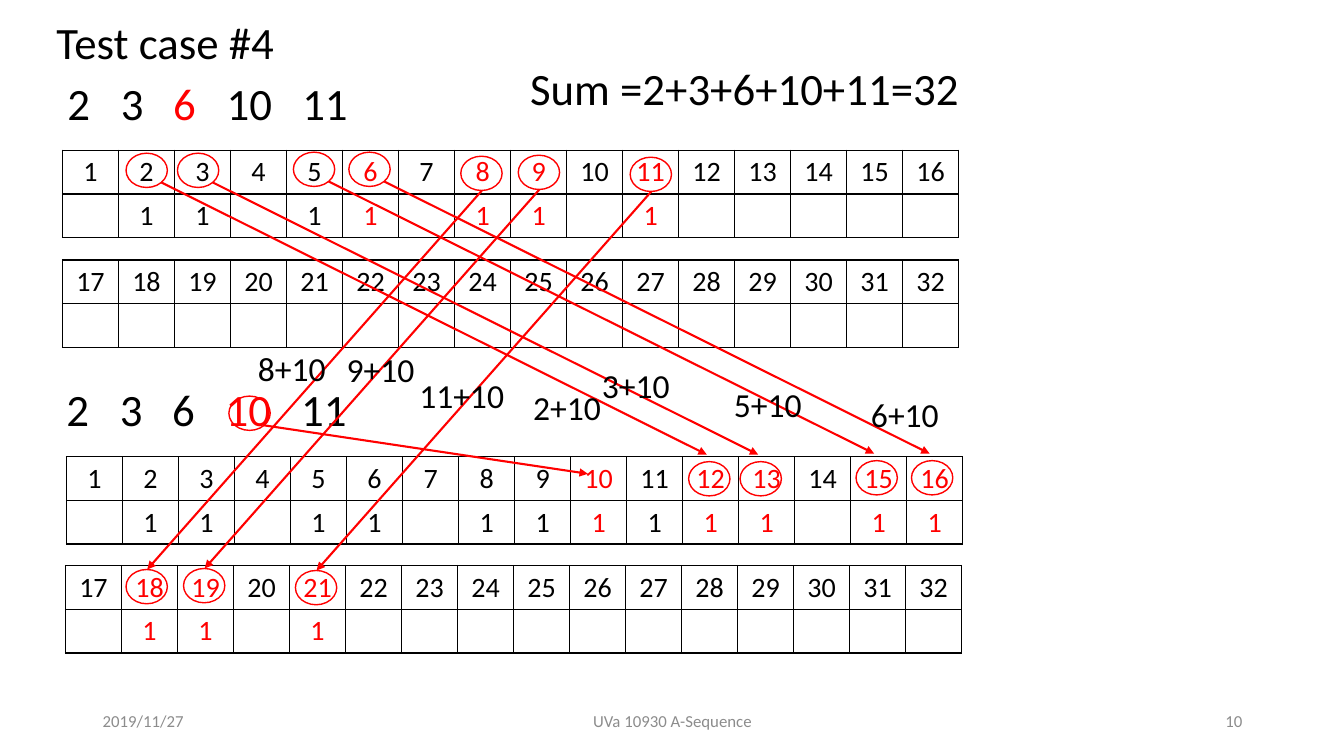
from dataclasses import dataclass

from lxml import etree
from pptx import Presentation
from pptx.dml.color import RGBColor
from pptx.enum import shapes, text
from pptx.oxml import ns
from pptx.util import Inches, Pt


@dataclass(frozen=True)
class Theme:
    """Colours, font and type sizes of the slide."""
    font: str = "Calibri"
    ink: str = "000000"
    mark: str = "FF0000"
    muted: str = "8C8C8C"
    heading: int = 32
    label: int = 24
    cell: int = 20
    footer: int = 12


THEME = Theme()
LEFT, CENTER, RIGHT = text.PP_ALIGN.LEFT, text.PP_ALIGN.CENTER, text.PP_ALIGN.RIGHT

TITLE = ("Test case #4", (0.46, 0.1, 2.6, 0.64))
TOTAL = ("Sum =2+3+6+10+11=32", (5.16, 0.55, 4.56, 0.64))
FOOTERS = [
    ("2019/11/27", (0.92, 6.95, 3, 0.4), LEFT),
    ("UVa 10930 A-Sequence", (4.42, 6.95, 4.5, 0.4), CENTER),
    ("10", (9.42, 6.95, 3, 0.4), RIGHT),
]
SEQUENCE = ["2", "3", "6", "10", "11"]
SEQUENCE_STOPS = [0.53, 1.05, 1.58, 2.33]
STEPS = [("6", (0.57, 0.7, 3.2, 0.64)), ("10", (0.56, 3.74, 3.2, 0.64))]

# fields: left, top, first number, reachable sums, red numbers, red ones
TABLES = [
    (0.62, 1.49, 1, {2, 3, 5, 6, 8, 9, 11}, {6, 8, 9, 11}),
    (0.62, 2.58, 17, set(), set()),
    (0.66, 4.53, 1, {2, 3, 5, 6, 8, 9, 10, 11, 12, 13, 15, 16}, {10, 12, 13, 15, 16}),
    (0.65, 5.61, 17, {18, 19, 21}, {18, 19, 21}),
]
COLUMNS, TABLE_WIDTH, ROW_HEIGHT = 16, 8.89, 0.43

RING = (0.41, 0.34)
TEN_RING, TEN_CELL = (2.27, 3.93), (5.83, 4.7)
RING_EDGE = (0.35, 0.29)
JUMPS_RIGHT = [
    ("2+10", (5.19, 3.79), (1.25, 1.52)),
    ("3+10", (5.87, 3.57), (1.76, 1.52)),
    ("5+10", (7.18, 3.76), (2.91, 1.51)),
    ("6+10", (8.54, 3.86), (3.46, 1.51)),
]
JUMPS_LEFT = [
    ("8+10", (2.46, 3.4), (4.57, 1.55)),
    ("9+10", (3.34, 3.41), (5.14, 1.54)),
    ("11+10", (4.06, 3.67), (6.25, 1.56)),
]
ROUTES = [
    (JUMPS_RIGHT, (5.58, 3.06), RING_EDGE, (0.18, -0.07)),
    (JUMPS_LEFT, (-3.32, 4.1), (0.21, 0.34), (0.21, 0)),
]
LABEL_SIZE = (1.19, 0.5)


def inches(*values):
    """Convert several lengths at once."""
    return [Inches(value) for value in values]


def shift(point, offset):
    """Move a point by an offset."""
    return point[0] + offset[0], point[1] + offset[1]


def style(paragraph, size, color=THEME.ink, align=LEFT):
    """Format a whole paragraph."""
    paragraph.alignment = align
    paragraph.font.name = THEME.font
    paragraph.font.size = Pt(size)
    paragraph.font.color.rgb = RGBColor.from_string(color)


def add_text(slide, words, box, size, color=THEME.ink, align=LEFT, anchor=text.MSO_ANCHOR.TOP):
    """Add a wrapped text box with one paragraph."""
    frame = slide.shapes.add_textbox(*inches(*box)).text_frame
    frame.word_wrap = True
    frame.vertical_anchor = anchor
    frame.text = words
    style(frame.paragraphs[0], size, color, align)


def add_title(slide, words, box):
    """Place the title placeholder."""
    title = slide.shapes.title
    title.left, title.top, title.width, title.height = inches(*box)
    frame = title.text_frame
    frame.text = words
    frame.word_wrap = True
    frame.auto_size = text.MSO_AUTO_SIZE.NONE
    frame.vertical_anchor = text.MSO_ANCHOR.TOP
    style(frame.paragraphs[0], THEME.heading)


def add_sequence(slide, current, box):
    """Add the sequence on tab stops with its current number in red."""
    frame = slide.shapes.add_textbox(*inches(*box)).text_frame
    frame.word_wrap = True
    paragraph = frame.paragraphs[0]
    stops = etree.SubElement(paragraph._p.get_or_add_pPr(), ns.qn("a:tabLst"))
    for stop in SEQUENCE_STOPS:
        etree.SubElement(stops, ns.qn("a:tab"), pos=str(Inches(stop)), algn="l")
    style(paragraph, THEME.heading)
    for index, number in enumerate(SEQUENCE):
        run = paragraph.add_run()
        run.text = "\t" + number if index else number
        color = THEME.mark if number == current else THEME.ink
        run.font.color.rgb = RGBColor.from_string(color)


def add_borders(cell):
    """Draw a thin line on all four sides of a cell."""
    properties = cell._tc.get_or_add_tcPr()
    for position, side in enumerate(("a:lnL", "a:lnR", "a:lnT", "a:lnB")):
        line = etree.Element(ns.qn(side), w=str(Pt(1)))
        fill = etree.SubElement(line, ns.qn("a:solidFill"))
        etree.SubElement(fill, ns.qn("a:srgbClr"), val=THEME.ink)
        properties.insert(position, line)


def add_sums_table(slide, left, top, first, reached, marked):
    """Add a table of numbers above their reachable flags."""
    box = inches(left, top, TABLE_WIDTH, 2 * ROW_HEIGHT)
    table = slide.shapes.add_table(2, COLUMNS, *box).table
    table.first_row = table.horz_banding = False
    for index in range(COLUMNS):
        number = first + index
        color = THEME.mark if number in marked else THEME.ink
        for row, words in enumerate((str(number), "1" if number in reached else "")):
            cell = table.cell(row, index)
            cell.text = words
            cell.fill.background()
            style(cell.text_frame.paragraphs[0], THEME.cell, color, CENTER)
            add_borders(cell)


def add_ring(slide, corner):
    """Circle a number."""
    ring = slide.shapes.add_shape(shapes.MSO_SHAPE.OVAL, *inches(*corner, *RING))
    ring.shadow.inherit = False
    ring.fill.background()
    ring.line.color.rgb = RGBColor.from_string(THEME.mark)
    ring.line.width = Pt(1)


def add_arrow(slide, start, end):
    """Draw a red arrow between two points."""
    arrow = slide.shapes.add_connector(shapes.MSO_CONNECTOR.STRAIGHT, *inches(*start, *end))
    arrow.line.color.rgb = RGBColor.from_string(THEME.mark)
    arrow.line.width = Pt(1.5)
    etree.SubElement(arrow.line._get_or_add_ln(), ns.qn("a:tailEnd"), type="triangle")
    etree.SubElement(arrow._element.spPr, ns.qn("a:effectLst"))


def main():
    """Build the slide."""
    deck = Presentation()
    deck.slide_width, deck.slide_height = inches(13.33, 7.5)
    slide = deck.slides.add_slide(deck.slide_layouts[5])
    add_title(slide, *TITLE)
    add_text(slide, *TOTAL, THEME.heading)
    for words, box, align in FOOTERS:
        add_text(slide, words, box, THEME.footer, THEME.muted, align, text.MSO_ANCHOR.MIDDLE)
    for step in STEPS:
        add_sequence(slide, *step)
    for sums in TABLES:
        add_sums_table(slide, *sums)
    add_ring(slide, TEN_RING)
    add_arrow(slide, shift(TEN_RING, RING_EDGE), TEN_CELL)
    for jumps, travel, leave, arrive in ROUTES:
        for label, corner, source in jumps:
            target = shift(source, travel)
            add_arrow(slide, shift(source, leave), shift(target, arrive))
            add_text(slide, label, corner + LABEL_SIZE, THEME.label)
            add_ring(slide, source)
            add_ring(slide, target)
    deck.save("out.pptx")


if __name__ == "__main__":
    main()
